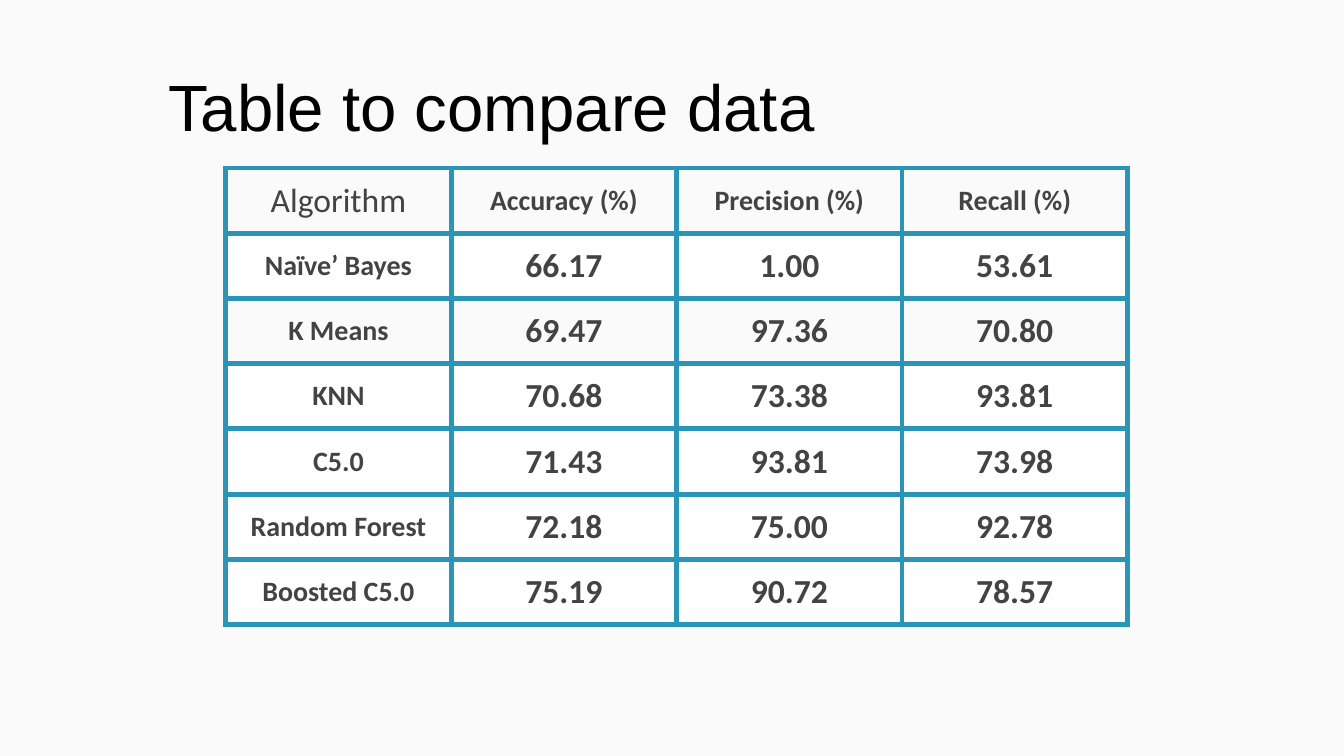
from lxml.etree import SubElement
from pptx import Presentation
from pptx.dml.color import RGBColor
from pptx.enum.text import MSO_ANCHOR, PP_ALIGN
from pptx.oxml.ns import qn
from pptx.util import Inches, Pt

COLORS = {"back": "FAFAFA", "title": "000000", "text": "434343",
          "border": "2A95B7", "fill": "FFFFFF"}
ROWS = [
    ("Algorithm", "Accuracy (%)", "Precision (%)", "Recall (%)"),
    ("Naïve’ Bayes", "66.17", "1.00", "53.61"),
    ("K Means", "69.47", "97.36", "70.80"),
    ("KNN", "70.68", "73.38", "93.81"),
    ("C5.0", "71.43", "93.81", "73.98"),
    ("Random Forest", "72.18", "75.00", "92.78"),
    ("Boosted C5.0", "75.19", "90.72", "78.57"),
]
UNFILLED_ROWS = (0, 2)


def rgb(name):
    return RGBColor.from_string(COLORS[name])


def add_borders(cell, width):
    """Draw all four sides; the lines must precede the fill in tcPr."""
    tc_pr = cell._tc.get_or_add_tcPr()
    for side in ("lnL", "lnR", "lnT", "lnB"):
        ln = SubElement(tc_pr, qn(f"a:{side}"), w=str(width))
        fill = SubElement(ln, qn("a:solidFill"))
        SubElement(fill, qn("a:srgbClr"), val=COLORS["border"])


prs = Presentation()
prs.slide_width = Inches(10)
prs.slide_height = prs.slide_width * 9 // 16
s = prs.slides.add_slide(prs.slide_layouts[5])
s.background.fill.solid()
s.background.fill.fore_color.rgb = rgb("back")

title = s.shapes.title
title.left, title.top = Inches(1.15), Inches(0.46)
title.width, title.height = Inches(7.68), Inches(0.82)
tf = title.text_frame
tf.margin_left = tf.margin_right = tf.margin_top = tf.margin_bottom = Inches(0.1)
tf.vertical_anchor = MSO_ANCHOR.TOP
tf.text = "Table to compare data"
p = tf.paragraphs[0]
p.alignment = PP_ALIGN.LEFT
p.line_spacing = 0.9
p.font.name, p.font.size = "Arial", Pt(35)
p.font.color.rgb = rgb("title")

# Rows and columns share the table's size evenly.
table = s.shapes.add_table(len(ROWS), len(ROWS[0]), Inches(1.68), Inches(1.25),
                           Inches(6.71), Inches(3.4)).table
table.first_row = table.horz_banding = False

for i, values in enumerate(ROWS):
    for j, value in enumerate(values):
        cell = table.cell(i, j)
        add_borders(cell, Pt(3))
        if i in UNFILLED_ROWS:
            cell.fill.background()
        else:
            cell.fill.solid()
            cell.fill.fore_color.rgb = rgb("fill")
        cell.vertical_anchor = MSO_ANCHOR.MIDDLE
        cell.margin_left = cell.margin_right = Inches(0.1)
        cell.margin_top = cell.margin_bottom = Inches(0.07)
        cell.text = value
        p = cell.text_frame.paragraphs[0]
        p.alignment = PP_ALIGN.CENTER
        is_corner = i == j == 0
        is_label = (i == 0 or j == 0) and not is_corner
        p.font.name, p.font.size = "Calibri", Pt(15 if is_label else 18)
        p.font.bold = not is_corner
        p.font.color.rgb = rgb("text")

prs.save("out.pptx")
